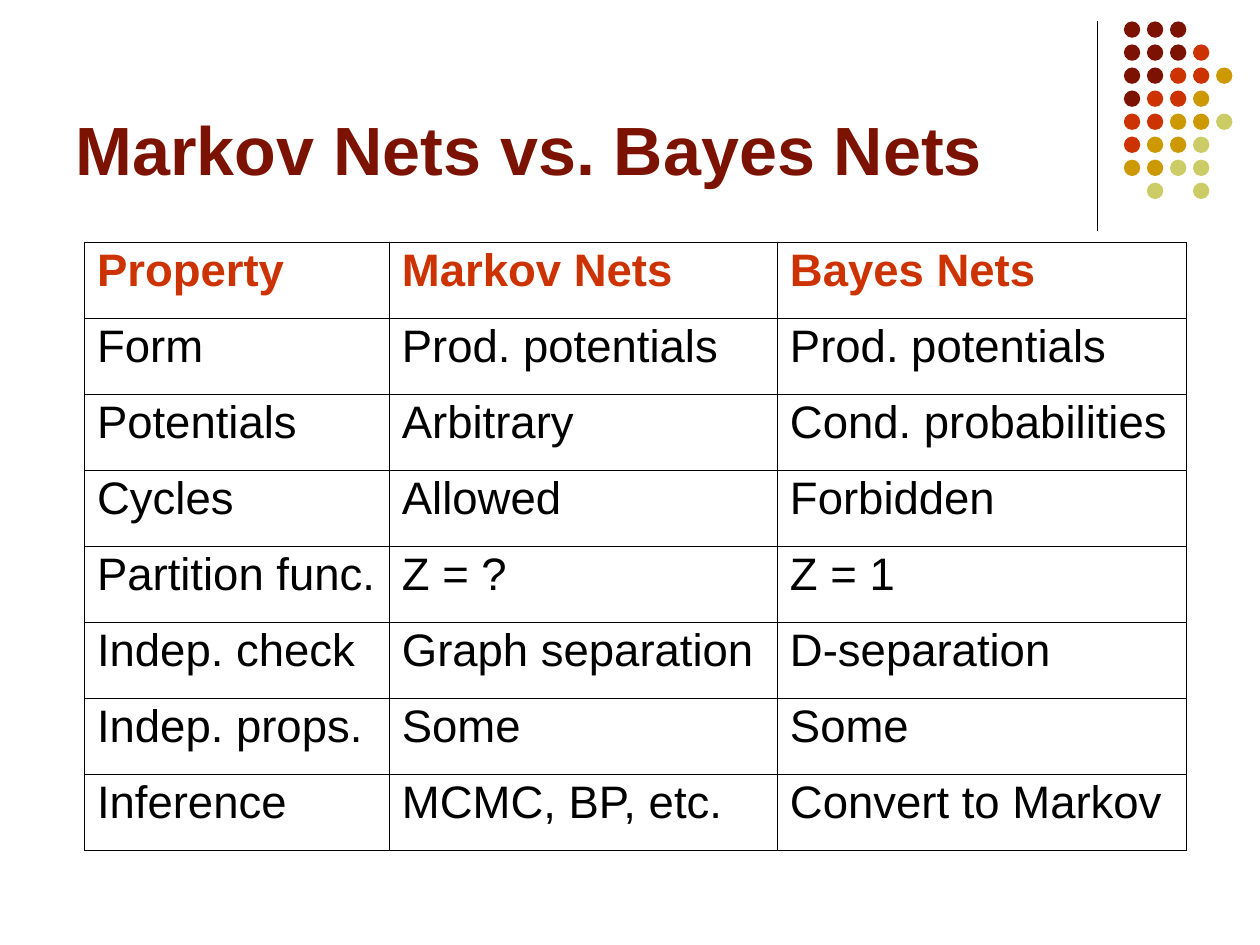
"""Build the Markov nets versus Bayes nets comparison slide."""
from dataclasses import dataclass

from lxml.etree import SubElement
from pptx import Presentation
from pptx.dml.color import RGBColor
from pptx.enum.shapes import MSO_CONNECTOR, MSO_SHAPE
from pptx.enum.text import MSO_ANCHOR, MSO_AUTO_SIZE, PP_ALIGN
from pptx.oxml import parse_xml
from pptx.oxml.ns import nsdecls, qn
from pptx.slide import Slide
from pptx.table import _Cell
from pptx.text.text import _Paragraph
from pptx.util import Inches, Pt


@dataclass(frozen=True)
class Theme:
    """Colours, font, type sizes and line widths."""
    dark: str = "7C1302"
    red: str = "CC3300"
    gold: str = "CC9900"
    olive: str = "CCCC66"
    ink: str = "000000"
    font: str = "Arial"
    title: float = 39
    cell: float = 26
    rule: float = 0.75
    outer: float = 0.5
    inner: float = 0.23


@dataclass(frozen=True)
class DotGrid:
    """Grid of dots, one letter a dot and one string a row."""
    left: float
    top: float
    size: float
    pitch: float
    rows: tuple[str, ...]


@dataclass(frozen=True)
class Comparison:
    """Table place, column widths and cell wording."""
    left: float
    top: float
    height: float
    widths: tuple[float, ...]
    rows: tuple[tuple[str, ...], ...]


THEME = Theme()
DOT_COLOURS = {"d": THEME.dark, "r": THEME.red, "g": THEME.gold, "o": THEME.olive}
DOTS = DotGrid(8.92, 0.17, 0.13, 1.28 / 7, (
    "ddd", "dddr", "ddrrg", "drrg", "rrggo", "rggo", "ggoo", " o o"))
NETS = Comparison(0.67, 1.92, 4.83, (2.42, 3.08, 3.25), (
    ("Property", "Markov Nets", "Bayes Nets"),
    ("Form", "Prod. potentials", "Prod. potentials"),
    ("Potentials", "Arbitrary", "Cond. probabilities"),
    ("Cycles", "Allowed", "Forbidden"),
    ("Partition func.", "Z = ?", "Z = 1"),
    ("Indep. check", "Graph separation", "D-separation"),
    ("Indep. props.", "Some", "Some"),
    ("Inference", "MCMC, BP, etc.", "Convert to Markov"),
))


def set_attrs(obj: object, values: dict[str, object]) -> None:
    """Set each named attribute."""
    for name, value in values.items():
        setattr(obj, name, value)


def write(p: _Paragraph, text: str, size: float, colour: str, bold: bool) -> None:
    """Add a formatted run."""
    r = p.add_run()
    r.text = text
    set_attrs(r.font, {"name": THEME.font, "size": Pt(size), "bold": bold})
    r.font.color.rgb = RGBColor.from_string(colour)


def add_rule(s: Slide, x: float, top: float, bottom: float) -> None:
    """Draw the vertical rule beside the dots."""
    line = s.shapes.add_connector(
        MSO_CONNECTOR.STRAIGHT, Inches(x), Inches(top), Inches(x), Inches(bottom))
    line.line.width = Pt(THEME.rule)
    line.line.color.rgb = RGBColor.from_string(THEME.ink)
    SubElement(line._element.spPr, qn("a:effectLst"))


def add_dots(s: Slide, grid: DotGrid) -> None:
    """Draw the grid of coloured dots."""
    for i, row in enumerate(grid.rows):
        for j, key in enumerate(row):
            if key not in DOT_COLOURS:
                continue
            dot = s.shapes.add_shape(
                MSO_SHAPE.OVAL, Inches(grid.left + j * grid.pitch),
                Inches(grid.top + i * grid.pitch), Inches(grid.size), Inches(grid.size))
            dot.fill.solid()
            dot.fill.fore_color.rgb = RGBColor.from_string(DOT_COLOURS[key])
            dot.line.fill.background()
            dot.shadow.inherit = False


def add_title(s: Slide, text: str) -> None:
    """Place and fill the title placeholder."""
    sp = s.shapes.title
    set_attrs(sp, {"left": Inches(0.5), "top": Inches(0.13),
                   "width": Inches(8.25), "height": Inches(1.42)})
    tf = sp.text_frame
    set_attrs(tf, {"word_wrap": True, "auto_size": MSO_AUTO_SIZE.NONE,
                   "vertical_anchor": MSO_ANCHOR.BOTTOM})
    p = tf.paragraphs[0]
    p.alignment = PP_ALIGN.LEFT
    write(p, text, THEME.title, THEME.dark, True)


def set_borders(cell: _Cell, outer: dict[str, bool]) -> None:
    """Draw the four borders, with wider lines on the outer edge."""
    tc_pr = cell._tc.get_or_add_tcPr()
    for i, (side, is_outer) in enumerate(outer.items()):
        width = Pt(THEME.outer if is_outer else THEME.inner)
        tc_pr.insert(i, parse_xml(
            f'<a:ln{side} {nsdecls("a")} w="{width}"><a:solidFill>'
            f'<a:srgbClr val="{THEME.ink}"/></a:solidFill></a:ln{side}>'))


def add_comparison(s: Slide, comp: Comparison) -> None:
    """Add the comparison table."""
    n, m = len(comp.rows), len(comp.widths)
    table = s.shapes.add_table(
        n, m, Inches(comp.left), Inches(comp.top),
        Inches(sum(comp.widths)), Inches(comp.height)).table
    set_attrs(table, {"first_row": False, "horz_banding": False})
    for col, width in zip(table.columns, comp.widths):
        col.width = Inches(width)
    for i, row in enumerate(comp.rows):
        table.rows[i].height = Inches(comp.height / n)
        for j, text in enumerate(row):
            cell = table.cell(i, j)
            cell.fill.background()
            set_borders(cell, {"L": j == 0, "R": j == m - 1,
                               "T": i == 0, "B": i == n - 1})
            p = cell.text_frame.paragraphs[0]
            p.line_spacing = 0.94
            write(p, text, THEME.cell, THEME.ink if i else THEME.red, i == 0)


def main() -> None:
    """Build and save the slide."""
    prs = Presentation()
    set_attrs(prs, {"slide_width": Inches(10), "slide_height": Inches(7.5)})
    s = prs.slides.add_slide(prs.slide_layouts[5])
    add_rule(s, 8.71, 0.17, 1.83)
    add_dots(s, DOTS)
    add_title(s, "Markov Nets vs. Bayes Nets")
    add_comparison(s, NETS)
    prs.save("out.pptx")


if __name__ == "__main__":
    main()
